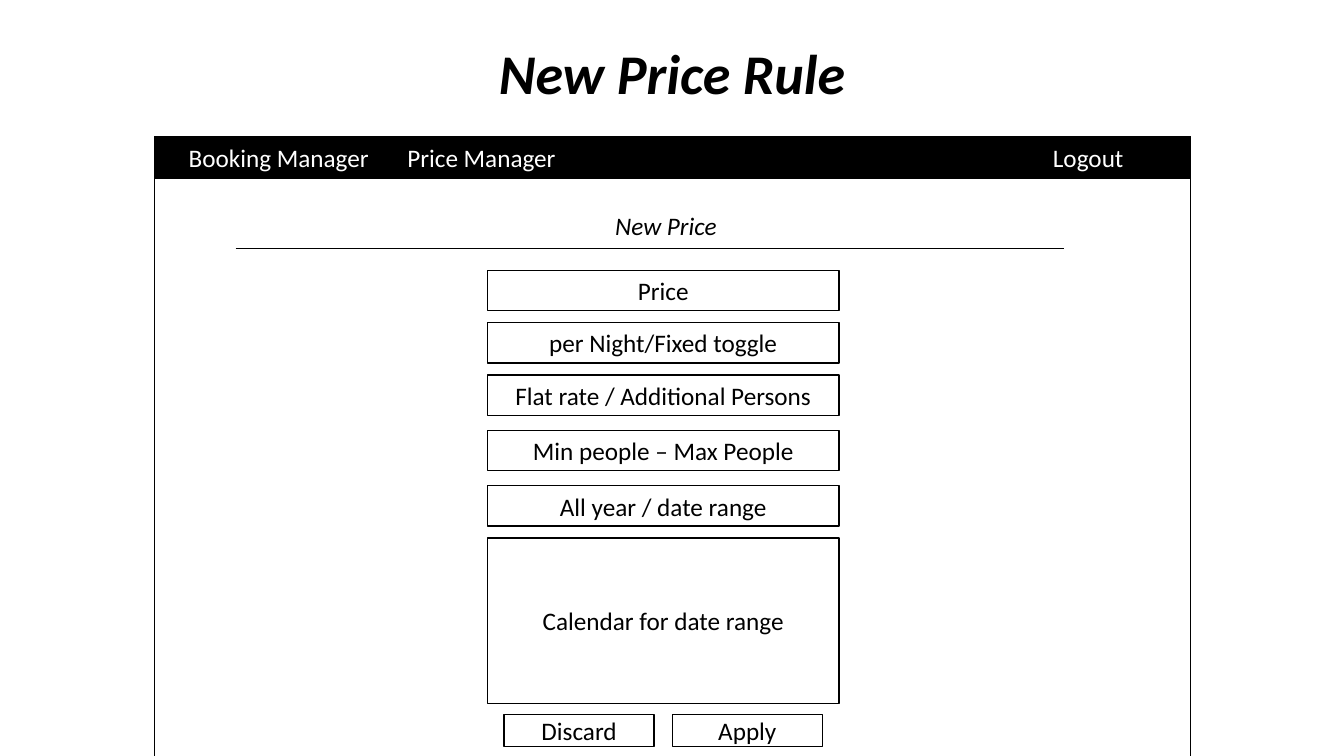
from dataclasses import dataclass

from lxml import etree
from pptx import Presentation
from pptx.dml.color import RGBColor
from pptx.enum.shapes import MSO_CONNECTOR, MSO_SHAPE
from pptx.enum.text import MSO_ANCHOR, PP_ALIGN
from pptx.oxml.ns import qn
from pptx.util import Cm, Pt

RECTANGLE = MSO_SHAPE.RECTANGLE
STRAIGHT = MSO_CONNECTOR.STRAIGHT
MIDDLE = MSO_ANCHOR.MIDDLE
CENTER = PP_ALIGN.CENTER


@dataclass(frozen=True)
class Theme:
    font: str = "Calibri"
    ink: RGBColor = RGBColor(0, 0, 0)
    paper: RGBColor = RGBColor(255, 255, 255)
    title_size: int = 40
    body_size: int = 18
    outline: float = 1
    rule: float = 0.5


THEME = Theme()
TITLE = "New Price Rule"
HEADING = "New Price"
MENU = [("Booking Manager", 4.47), ("Price Manager", 9.58), ("Logout", 24.87)]
FIELDS = [
    ("Price", 1.02, 0.3),
    ("per Night/Fixed toggle", 1.02, 0.3),
    ("Flat rate / Additional Persons", 1.02, 0.38),
    ("Min people – Max People", 1.01, 0.38),
    ("All year / date range", 1.02, 0.3),
    ("Calendar for date range", 4.17, 0.28),
]
BUTTONS = ["Discard", "Apply"]

SLIDE_WIDTH, SLIDE_HEIGHT = 33.87, 19.05
FRAME_LEFT, FRAME_TOP, FRAME_WIDTH, FRAME_HEIGHT = 3.89, 3.45, 26.11, 16.28
BAR_HEIGHT = 1.04
MENU_WIDTH = 5.11
FIELD_LEFT, FIELD_TOP, FIELD_WIDTH = 12.28, 6.81, 8.87
BUTTON_WIDTH, BUTTON_HEIGHT, BUTTON_GAP = 3.78, 0.81, 0.46


def write(shape, text, color=THEME.ink, size=THEME.body_size, bold=False, italic=False):
    frame = shape.text_frame
    frame.word_wrap = True
    frame.vertical_anchor = MIDDLE
    frame.margin_top = frame.margin_bottom = Cm(0.13)
    frame.text = text
    paragraph = frame.paragraphs[0]
    paragraph.alignment = CENTER
    paragraph.line_spacing = 1.0
    paragraph.space_before = Pt(0)
    font = paragraph.runs[0].font
    font.name, font.size = THEME.font, Pt(size)
    font.bold, font.italic = bold, italic
    font.color.rgb = color


def add_box(slide, left, top, width, height, text="", fill=THEME.paper):
    box = slide.shapes.add_shape(RECTANGLE, Cm(left), Cm(top), Cm(width), Cm(height))
    box.shadow.inherit = False
    box.fill.solid()
    box.fill.fore_color.rgb = fill
    box.line.color.rgb = THEME.ink
    box.line.width = Pt(THEME.outline)
    if text:
        write(box, text)


def add_label(slide, left, top, width, height, text, **style):
    label = slide.shapes.add_textbox(Cm(left), Cm(top), Cm(width), Cm(height))
    write(label, text, **style)


def add_title(slide):
    title = slide.shapes.title
    title.left, title.top = Cm(0), Cm(0.84)
    title.width, title.height = Cm(SLIDE_WIDTH), Cm(1.96)
    write(title, TITLE, size=THEME.title_size, bold=True, italic=True)


def add_window(slide):
    add_box(slide, FRAME_LEFT, FRAME_TOP, FRAME_WIDTH, FRAME_HEIGHT)
    add_box(slide, FRAME_LEFT, FRAME_TOP, FRAME_WIDTH, BAR_HEIGHT, fill=THEME.ink)
    for text, left in MENU:
        add_label(slide, left, FRAME_TOP, MENU_WIDTH, BAR_HEIGHT, text, color=THEME.paper)


def add_heading(slide):
    add_label(slide, 5.66, 5.16, 22.25, 1.02, HEADING, italic=True)
    rule = slide.shapes.add_connector(STRAIGHT, Cm(5.94), Cm(6.27), Cm(26.82), Cm(6.27))
    rule.line.color.rgb = THEME.ink
    rule.line.width = Pt(THEME.rule)
    etree.SubElement(rule._element.spPr, qn("a:effectLst"))


def add_form(slide):
    top = FIELD_TOP
    for text, height, gap in FIELDS:
        add_box(slide, FIELD_LEFT, top, FIELD_WIDTH, height, text)
        top += height + gap
    row_width = len(BUTTONS) * (BUTTON_WIDTH + BUTTON_GAP) - BUTTON_GAP
    first_left = FIELD_LEFT + (FIELD_WIDTH - row_width) / 2
    for index, text in enumerate(BUTTONS):
        left = first_left + index * (BUTTON_WIDTH + BUTTON_GAP)
        add_box(slide, left, top, BUTTON_WIDTH, BUTTON_HEIGHT, text)


def main():
    presentation = Presentation()
    presentation.slide_width, presentation.slide_height = Cm(SLIDE_WIDTH), Cm(SLIDE_HEIGHT)
    slide = presentation.slides.add_slide(presentation.slide_layouts[5])
    add_title(slide)
    add_window(slide)
    add_heading(slide)
    add_form(slide)
    presentation.save("out.pptx")


if __name__ == "__main__":
    main()
